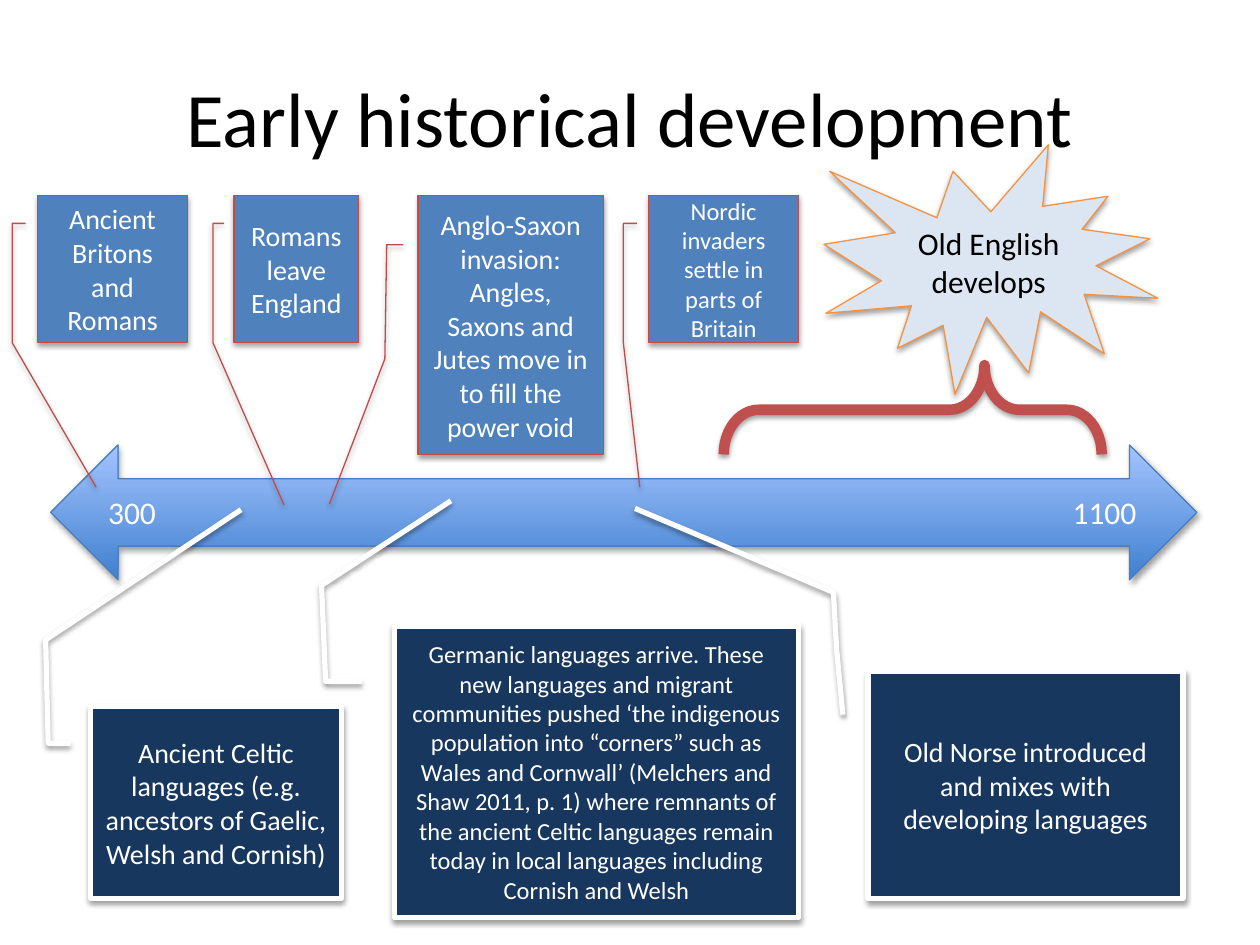
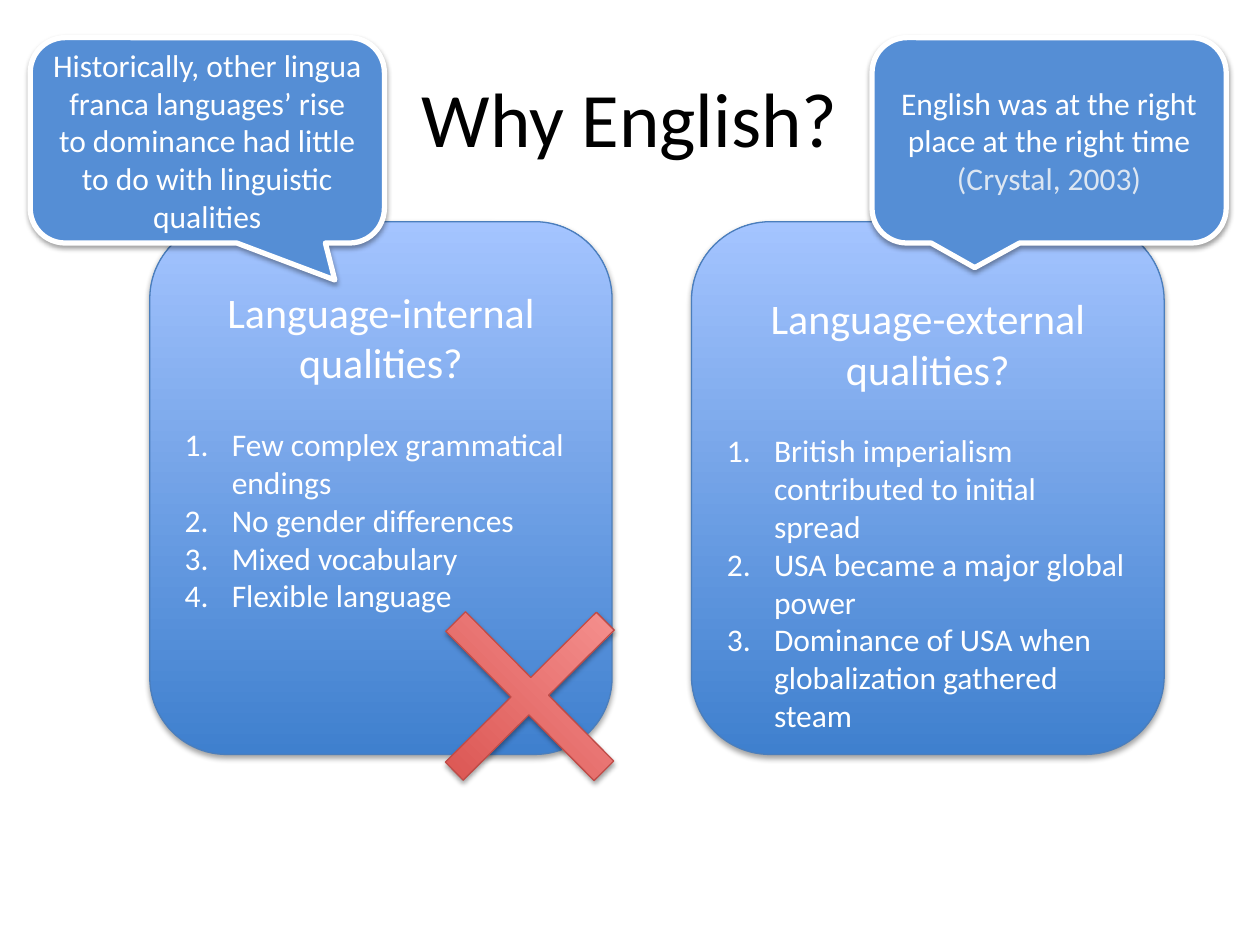
"""Build two slides on the history and the spread of English."""
from lxml.etree import SubElement
from pptx import Presentation
from pptx.dml.color import RGBColor
from pptx.enum.shapes import MSO_SHAPE
from pptx.enum.text import MSO_ANCHOR, PP_ALIGN
from pptx.oxml.ns import qn
from pptx.util import Cm, Pt

FONT = "Calibri"
COLORS = {
    "black": "000000", "white": "FFFFFF", "blue": "4F81BD", "navy": "17375E",
    "sky": "558ED5", "pale": "DCE6F2", "blue_line": "4B7EBC",
    "red_line": "BF4C48", "brace": "C0504D", "orange": "F69240",
    "blue_dark": "3F80CE", "blue_light": "A4C4FF",
    "red_dark": "D1403C", "red_light": "FFA6A5",
}
RGB = {name: RGBColor.from_string(value) for name, value in COLORS.items()}
BLUE_GRADIENT = ("blue_dark", "blue_light")
RED_GRADIENT = ("red_dark", "red_light")


def draw(page, kind, frame, fill, line, width=0.75, adjustments=()):
    """Add a shape with a fill or gradient, an outline and a drop shadow."""
    shape = page.shapes.add_shape(kind, *[Cm(length) for length in frame])
    for index, value in enumerate(adjustments):
        shape.adjustments[index] = value
    if fill is None:
        shape.fill.background()
    elif isinstance(fill, tuple):
        shape.fill.gradient()
        shape.fill.gradient_angle = 90
        for stop, name in zip(shape.fill.gradient_stops, fill):
            stop.color.rgb = RGB[name]
    else:
        shape.fill.solid()
        shape.fill.fore_color.rgb = RGB[fill]
    shape.line.color.rgb = RGB[line]
    shape.line.width = Pt(width)
    shape.shadow.inherit = False
    effects = shape._element.spPr.find(qn("a:effectLst"))
    shadow = SubElement(effects, qn("a:outerShdw"), blurRad=str(Pt(3.1)),
                        dist=str(Pt(1.7)), dir="5400000", rotWithShape="0")
    color = SubElement(shadow, qn("a:srgbClr"), val=COLORS["black"])
    SubElement(color, qn("a:alpha"), val="36000")
    return shape


def write(box, paragraphs, size, color="white"):
    """Write centred paragraphs, each given as a text or as (text, colour) runs."""
    frame = box.text_frame
    frame.word_wrap = True
    frame.vertical_anchor = MSO_ANCHOR.MIDDLE
    for number, content in enumerate(paragraphs):
        para = frame.add_paragraph() if number else frame.paragraphs[0]
        para.alignment = PP_ALIGN.CENTER
        runs = [(content, color)] if isinstance(content, str) else content
        for text, name in runs:
            span = para.add_run()
            span.text = text
            span.font.name = FONT
            span.font.size = Pt(size)
            span.font.color.rgb = RGB[name]
    return frame


deck = Presentation()
deck.slide_width, deck.slide_height = Cm(25.4), Cm(19.05)
pages = []
for title in ("Early historical development", "Why English?"):
    page = deck.slides.add_slide(deck.slide_layouts[6])
    box = page.shapes.add_textbox(Cm(1.27), Cm(0.76), Cm(22.86), Cm(3.18))
    write(box, [title], 44, "black")
    pages.append(page)
history, reasons = pages

timeline = draw(history, MSO_SHAPE.LEFT_RIGHT_ARROW, (1.02, 8.97, 23.11, 2.72),
                BLUE_GRADIENT, "blue_line")
frame = write(timeline, ["300\t1100"], 18)
frame.margin_left = Cm(0.48)
years = frame.paragraphs[0]
years.alignment = PP_ALIGN.LEFT
tabs = SubElement(years._p.get_or_add_pPr(), qn("a:tabLst"))
SubElement(tabs, qn("a:tab"), pos=str(Cm(20.73)), algn="r")

EVENT_TOP = 3.94
EVENTS = [
    (0.76, 3.02, 2.97, (1, -0.17, 1.98, 0.39), 16, ["Ancient Britons and Romans"]),
    (4.72, 2.51, 2.97, (1, -0.17, 2.1, 0.4), 16, ["Romans leave England"]),
    (8.43, 3.73, 5.23, (0.63, -0.18, 1.19, -0.48), 16,
     ["Anglo-Saxon invasion:",
      "Angles, Saxons and Jutes move in to fill the power void"]),
    (13.08, 3.02, 2.97, (1, -0.17, 1.98, -0.06), 14,
     ["Nordic invaders settle in parts of Britain"]),
]
for left, width, height, leader, size, lines in EVENTS:
    event = draw(history, MSO_SHAPE.LINE_CALLOUT_3, (left, EVENT_TOP, width, height),
                 "blue", "red_line", 0.75, (0.19, -0.08, 0.19, -0.17) + leader)
    write(event, lines, size)

LANGUAGES = [
    ((1.83, 14.25, 5.05, 3.86), (0.19, -0.17, -0.35, -0.18, -1.03, 0.6), 16,
     "Ancient Celtic languages (e.g. ancestors of Gaelic, Welsh and Cornish)"),
    ((17.5, 13.54, 6.35, 4.57), (-0.1, -0.1, -0.35, -0.11, -0.72, -0.74), 16,
     "Old Norse introduced and mixes with developing languages"),
    ((7.95, 12.62, 8.15, 5.87), (0.19, -0.17, -0.14, -0.18, -0.43, 0.14), 14,
     "Germanic languages arrive. These new languages and migrant communities "
     "pushed ‘the indigenous population into “corners” such as Wales and "
     "Cornwall’ (Melchers and Shaw 2011, p. 1) where remnants of the ancient "
     "Celtic languages remain today in local languages including Cornish and Welsh"),
]
for place, leader, size, text in LANGUAGES:
    language = draw(history, MSO_SHAPE.LINE_CALLOUT_3, place, "navy", "white", 3,
                    (0.19, -0.08) + leader)
    write(language, [text], size)

brace = draw(history, MSO_SHAPE.RIGHT_BRACE, (17.5, 4.45, 1.8, 7.62), None, "brace", 6,
             (0.39, 0.69))
brace.rotation = 270
burst = draw(history, MSO_SHAPE.EXPLOSION1, (16.61, 2.92, 6.73, 5.03), "pale", "orange")
write(burst, ["Old English develops"], 18, "black")

CARDS = [
    (3.02, 9.32, 0.13, 1.65, "Language-internal qualities?",
     ["Few complex grammatical endings", "No gender differences",
      "Mixed vocabulary", "Flexible language"]),
    (13.94, 9.53, 1.02, 0, "Language-external qualities?",
     ["British imperialism contributed to initial spread",
      "USA became a major global power",
      "Dominance of USA when globalization gathered steam"]),
]
for left, width, top_margin, bottom_margin, heading, points in CARDS:
    card = draw(reasons, MSO_SHAPE.ROUNDED_RECTANGLE, (left, 4.47, width, 10.74),
                BLUE_GRADIENT, "blue_line")
    frame = write(card, [heading] + points, 18)
    frame.margin_top, frame.margin_bottom = Cm(top_margin), Cm(bottom_margin)
    first, *numbered = frame.paragraphs
    first.runs[0].font.size = Pt(24)
    first.space_after = Pt(21.6)
    for para in numbered:
        para.alignment = PP_ALIGN.LEFT
        settings = para._p.get_or_add_pPr()
        settings.set("marL", str(Cm(0.95)))
        settings.set("indent", str(-Cm(0.95)))
        SubElement(settings, qn("a:buFont"), typeface="+mj-lt")
        SubElement(settings, qn("a:buAutoNum"), type="arabicPeriod")

cross = draw(reasons, MSO_SHAPE.CROSS, (8.56, 11.89, 4.24, 4.29), RED_GRADIENT,
             "red_line", 0.75, (0.44,))
cross.rotation = 45.2

BUBBLES = [
    (0.61, (0.36, 0.68, 0.17),
     ["Historically, other lingua franca languages’ rise to dominance had little "
      "to do with linguistic qualities"]),
    (17.58, (-0.21, 0.62, 0.17),
     [[("English was at the right place at the right time ", "white"),
       ("(Crystal, 2003)", "pale")]]),
]
for left, tail, lines in BUBBLES:
    bubble = draw(reasons, MSO_SHAPE.ROUNDED_RECTANGULAR_CALLOUT,
                  (left, 0.76, 7.14, 4.14), "sky", "white", 3, tail)
    write(bubble, lines, 18)

deck.save("out.pptx")
